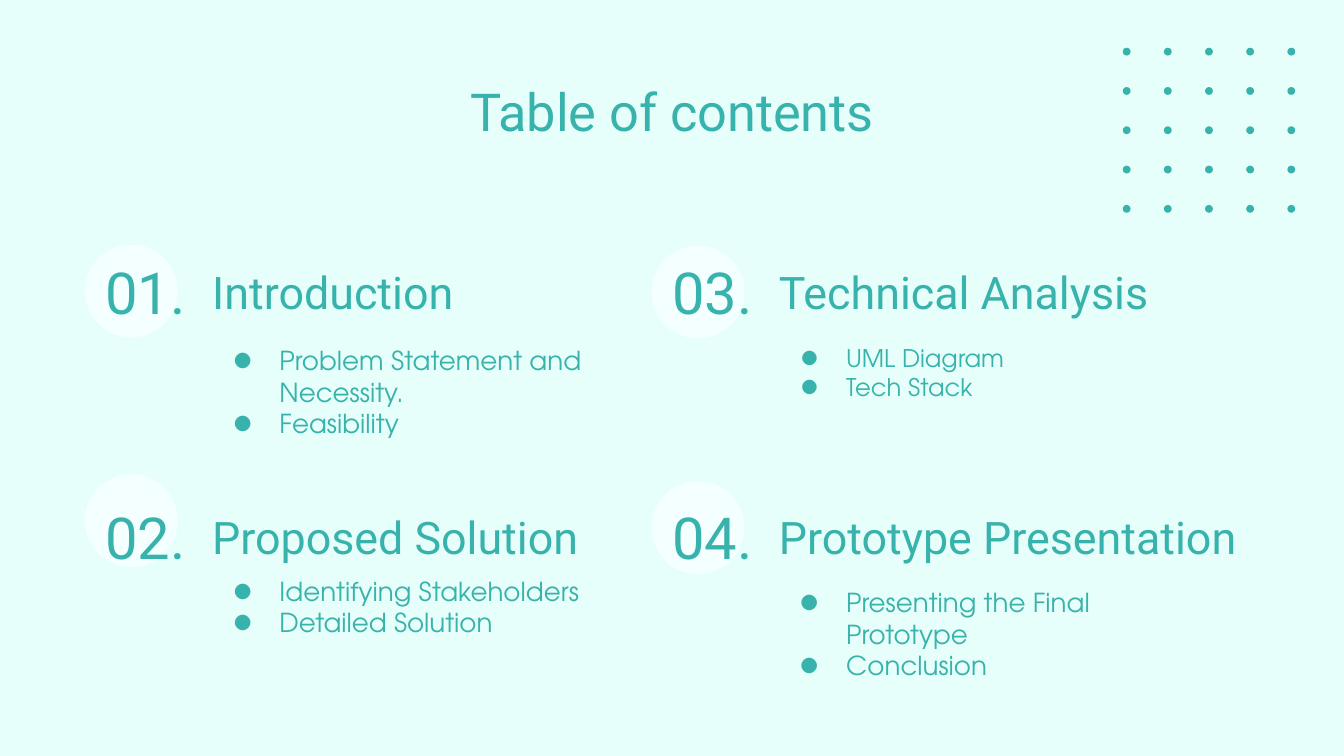
from dataclasses import dataclass
from itertools import product

from pptx import Presentation
from pptx.dml.color import RGBColor
from pptx.enum.shapes import MSO_SHAPE as Shape
from pptx.enum.text import MSO_ANCHOR as Anchor, PP_ALIGN as Align
from pptx.oxml.ns import qn
from pptx.util import Pt
from lxml.etree import SubElement


@dataclass(frozen=True)
class Theme:
    background: str = "E6FFFA"
    accent: str = "38B2AC"
    disc: str = "F4FFFF"
    heading_font: str = "Roboto"
    body_font: str = "TeX Gyre Adventor"
    title_size: float = 28
    number_size: float = 31
    heading_size: float = 24


THEME = Theme()


@dataclass(frozen=True)
class Section:
    number: str
    heading: str
    items: tuple
    heading_width: float
    disc_top: float  # relative to the section top
    list_top: float  # relative to the section top
    list_height: float
    list_size: float = 14


# Sections run down each column in turn.
SECTIONS = (
    Section("01.", "Introduction",
            ("Problem Statement and Necessity.", "Feasibility"),
            214.6, -5, 41, 65.5),
    Section("02.", "Proposed Solution",
            ("Identifying Stakeholders", "Detailed Solution"),
            244.8, -13, 39.6, 36.7),
    Section("03.", "Technical Analysis", ("UML Diagram", "Tech Stack"),
            244.8, -4.5, 40.3, 46.1, 13),
    Section("04.", "Prototype Presentation",
            ("Presenting the Final Prototype", "Conclusion"),
            353.5, -9.3, 39.6, 65.5),
)
COLUMNS = (31.7, 335.3)
ROWS = (136.1, 267.1)


def add_text(s, box, lines, size, font, align=Align.LEFT, anchor=Anchor.MIDDLE):
    tf = s.shapes.add_textbox(*map(Pt, box)).text_frame
    tf.word_wrap = True
    tf.vertical_anchor = anchor
    tf.margin_left = tf.margin_right = tf.margin_top = tf.margin_bottom = Pt(7.2)
    tf.text = "\n".join(lines)
    for p in tf.paragraphs:
        p.alignment = align
        for r in p.runs:
            r.font.size = Pt(size)
            r.font.name = font
            r.font.color.rgb = RGBColor.from_string(THEME.accent)
    return tf


def add_bullet(p, hanging):
    pPr = p._p.get_or_add_pPr()
    pPr.set("marL", str(Pt(36)))
    pPr.set("indent", str(-Pt(hanging)))
    color = SubElement(pPr, qn("a:buClr"))
    SubElement(color, qn("a:srgbClr"), val=THEME.accent)
    SubElement(pPr, qn("a:buFont"), typeface=THEME.body_font)
    SubElement(pPr, qn("a:buChar"), char="●")


def add_disc(s, left, top, size, color):
    sp = s.shapes.add_shape(Shape.OVAL, Pt(left), Pt(top), Pt(size), Pt(size))
    sp.shadow.inherit = False
    sp.fill.solid()
    sp.fill.fore_color.rgb = RGBColor.from_string(color)
    sp.line.fill.background()


def add_dot_grid(s, left, top, width, height, count=5, dot=4.2):
    step_x = (width - dot) / (count - 1)
    step_y = (height - dot) / (count - 1)
    for col, row in product(range(count), repeat=2):
        add_disc(s, left + col * step_x, top + row * step_y, dot, THEME.accent)


def add_section(s, left, top, section):
    """Place a numbered heading with its bullet list below."""
    number_width, height, list_width = 74.9, 40.3, 214.6
    text_left = left + number_width
    add_disc(s, left + 13.8, top + section.disc_top, 49.7, THEME.disc)
    add_text(s, (text_left, top, section.heading_width, height),
             [section.heading], THEME.heading_size, THEME.heading_font)
    add_text(s, (left, top, number_width, height), [section.number],
             THEME.number_size, THEME.heading_font, Align.RIGHT)
    tf = add_text(s, (text_left, top + section.list_top, list_width, section.list_height),
                  section.items, section.list_size, THEME.body_font)
    for p in tf.paragraphs:
        add_bullet(p, 18 + section.list_size / 2)


def main():
    prs = Presentation()
    prs.slide_width, prs.slide_height = Pt(720), Pt(405)
    s = prs.slides.add_slide(prs.slide_layouts[6])
    s.background.fill.solid()
    s.background.fill.fore_color.rgb = RGBColor.from_string(THEME.background)

    add_dot_grid(s, 601.5, 25.6, 92.4, 88.4)
    for (left, top), section in zip(product(COLUMNS, ROWS), SECTIONS):
        add_section(s, left, top, section)
    add_text(s, (56.7, 35.3, 606.6, 45.4), ["Table of contents"],
             THEME.title_size, THEME.heading_font, Align.CENTER, Anchor.TOP)
    prs.save("out.pptx")


if __name__ == "__main__":
    main()
